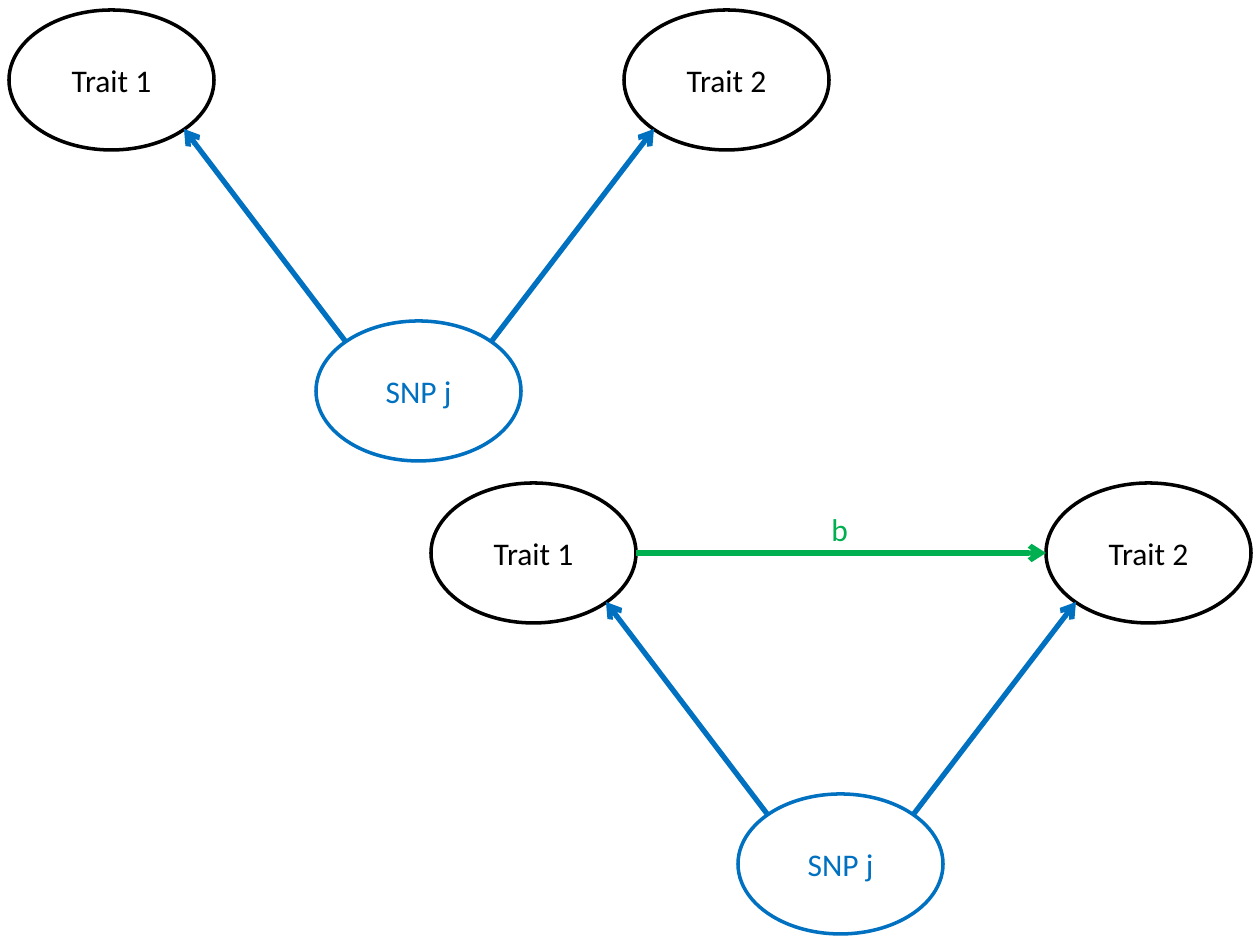
from dataclasses import dataclass
from math import sqrt

from lxml import etree
from pptx import Presentation
from pptx import util as u
from pptx.dml.color import RGBColor
from pptx.enum import shapes, text
from pptx.oxml import ns

PX_PER_INCH = 126


@dataclass(frozen=True)
class Theme:
    font: str = "Calibri"
    size: u.Pt = u.Pt(18)
    outline: u.Pt = u.Pt(2)
    arrow: u.Pt = u.Pt(3)
    paper: RGBColor = RGBColor(0xFF, 0xFF, 0xFF)
    trait: RGBColor = RGBColor(0x00, 0x00, 0x00)
    snp: RGBColor = RGBColor(0x00, 0x70, 0xC0)
    effect: RGBColor = RGBColor(0x00, 0xB0, 0x50)


THEME = Theme()


@dataclass(frozen=True)
class Node:
    label: str
    x: int
    y: int
    color: RGBColor
    width: int = 205
    height: int = 140

    def point(self, across: float, down: float) -> tuple[int, int]:
        """Point at the given fractions of the half axes from the centre."""
        return (round(self.x + self.width / 2 * (1 + across)),
                round(self.y + self.height / 2 * (1 + down)))


def px(n: int) -> u.Emu:
    return u.Emu(round(n * u.Inches(1) / PX_PER_INCH))


def write(tf, label: str, color: RGBColor) -> None:
    p = tf.paragraphs[0]
    p.text = label
    p.font.name, p.font.size = THEME.font, THEME.size
    p.font.color.rgb = color


def draw_node(parent, node: Node) -> None:
    s = parent.add_shape(shapes.MSO_SHAPE.OVAL, px(node.x), px(node.y),
                         px(node.width), px(node.height))
    s.shadow.inherit = False
    s.fill.solid()
    s.fill.fore_color.rgb = THEME.paper
    s.line.color.rgb = node.color
    s.line.width = THEME.outline
    tf = s.text_frame
    tf.vertical_anchor = text.MSO_ANCHOR.MIDDLE
    write(tf, node.label, node.color)
    tf.paragraphs[0].alignment = text.PP_ALIGN.CENTER


def draw_arrow(parent, start: tuple[int, int], end: tuple[int, int],
               color: RGBColor) -> None:
    c = parent.add_connector(shapes.MSO_CONNECTOR.STRAIGHT,
                             *(px(n) for n in start + end))
    c.line.color.rgb = color
    c.line.width = THEME.arrow
    etree.SubElement(c.line._get_or_add_ln(), ns.qn("a:tailEnd"), type="arrow")
    etree.SubElement(c._element.spPr, ns.qn("a:effectLst"))


def draw_graph(s, x: int, y: int) -> tuple[Node, Node]:
    """Draw a SNP pointing at two traits, as one group; return the traits."""
    trait1 = Node("Trait 1", x, y, THEME.trait)
    trait2 = Node("Trait 2", x + 615, y, THEME.trait)
    snp = Node("SNP j", x + 307, y + 311, THEME.snp)
    group = s.shapes.add_group_shape().shapes
    diagonal = sqrt(0.5)
    for trait, side in ((trait1, -diagonal), (trait2, diagonal)):
        draw_node(group, trait)
        draw_arrow(group, snp.point(side, -diagonal),
                   trait.point(-side, diagonal), snp.color)
    draw_node(group, snp)
    return trait1, trait2


def draw_label(s, label: str, x: int, y: int, width: int, height: int,
               color: RGBColor) -> None:
    tf = s.shapes.add_textbox(px(x), px(y), px(width), px(height)).text_frame
    tf.word_wrap = False
    tf.auto_size = text.MSO_AUTO_SIZE.SHAPE_TO_FIT_TEXT
    write(tf, label, color)


def main() -> None:
    prs = Presentation()
    prs.slide_width, prs.slide_height = u.Inches(10), u.Inches(7.5)
    s = prs.slides.add_slide(prs.slide_layouts[6])
    draw_graph(s, 9, 10)
    cause, outcome = draw_graph(s, 431, 483)
    draw_label(s, "b", 819, 504, 42, 50, THEME.effect)
    draw_arrow(s.shapes, cause.point(1, 0), outcome.point(-1, 0), THEME.effect)
    prs.save("out.pptx")


if __name__ == "__main__":
    main()
